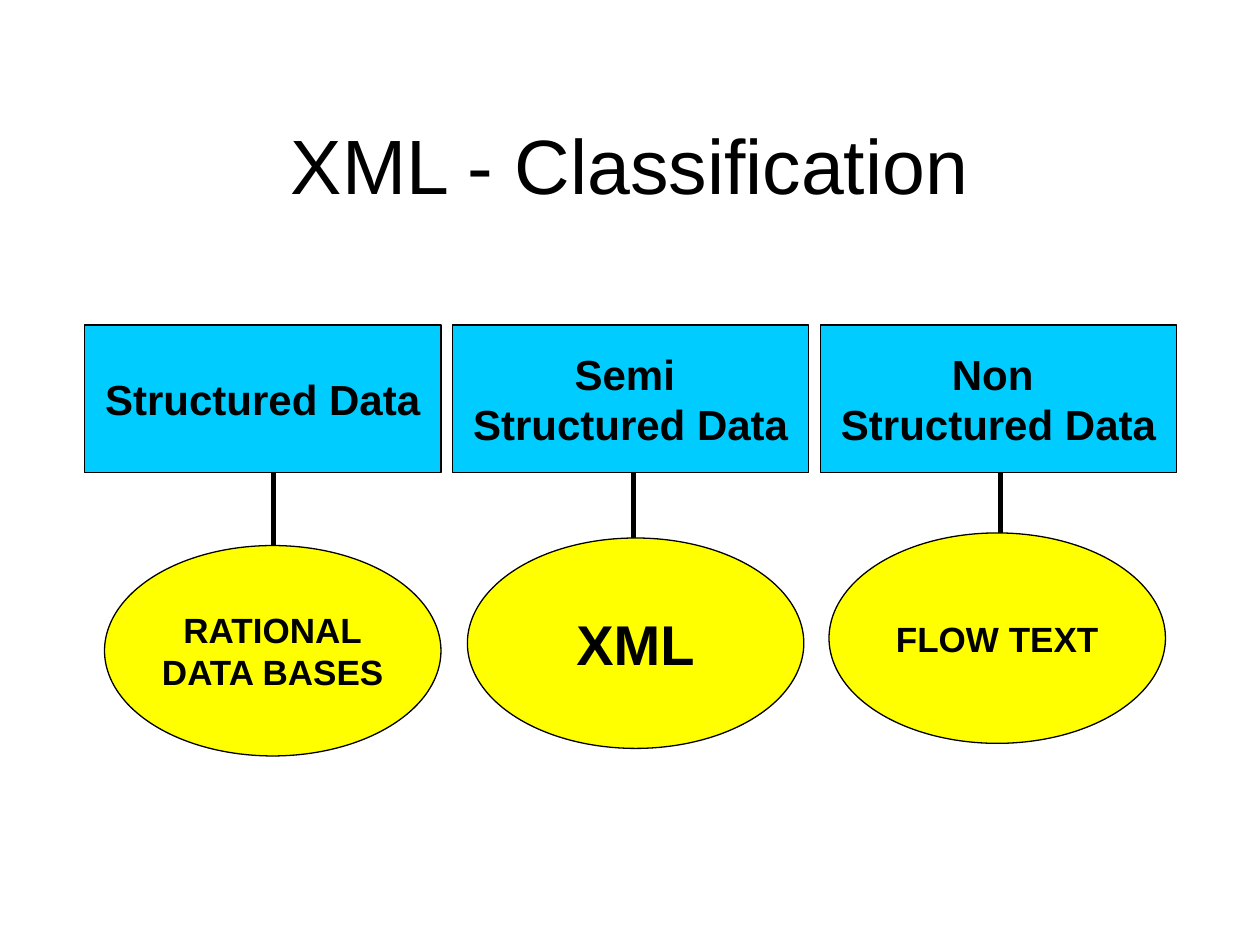
import pptx
import pptx.util
import pptx.dml.color
import pptx.enum.shapes
import pptx.enum.text
import pptx.oxml.ns
import lxml.etree

Inches = pptx.util.Inches
Pt = pptx.util.Pt
Shape = pptx.enum.shapes.MSO_SHAPE


def colour(hex_value):
    return pptx.dml.color.RGBColor.from_string(hex_value)


class ClassificationSlide:
    """Holds the style and the current slide."""

    font_name = "Arial"
    ink = "000000"
    outline = 0.75
    link_width = 3

    def __init__(self, deck):
        self.slide = deck.slides.add_slide(deck.slide_layouts[6])

    def label(self, box, lines, size, bold, wrap):
        frame = box.text_frame
        frame_format = {
            "word_wrap": wrap,
            "vertical_anchor": pptx.enum.text.MSO_ANCHOR.MIDDLE,
            "margin_left": Inches(0.1), "margin_right": Inches(0.1),
            "margin_top": Inches(0.05), "margin_bottom": Inches(0.05),
        }
        for name, value in frame_format.items():
            setattr(frame, name, value)
        font_format = {"name": self.font_name, "size": Pt(size), "bold": bold}
        for index, line in enumerate(lines):
            para = frame.add_paragraph() if index else frame.paragraphs[0]
            para.alignment = pptx.enum.text.PP_ALIGN.CENTER
            span = para.add_run()
            span.text = line
            for name, value in font_format.items():
                setattr(span.font, name, value)
            span.font.color.rgb = colour(self.ink)

    def title(self, place, words, size):
        box = self.slide.shapes.add_textbox(*map(Inches, place))
        self.label(box, [words], size, bold=False, wrap=True)

    def shape(self, preset, place, fill, lines, size):
        box = self.slide.shapes.add_shape(preset, *map(Inches, place))
        box.shadow.inherit = False
        box.fill.solid()
        box.fill.fore_color.rgb = colour(fill)
        box.line.color.rgb = colour(self.ink)
        box.line.width = Pt(self.outline)
        self.label(box, lines, size, bold=True, wrap=False)

    def link(self, x, top, bottom):
        line = self.slide.shapes.add_connector(
            pptx.enum.shapes.MSO_CONNECTOR.STRAIGHT,
            Inches(x), Inches(top), Inches(x), Inches(bottom))
        line.line.color.rgb = colour(self.ink)
        line.line.width = Pt(self.link_width)
        lxml.etree.SubElement(line._element.spPr, pptx.oxml.ns.qn("a:effectLst"))


def main():
    deck = pptx.Presentation()
    deck.slide_width, deck.slide_height = Inches(10), Inches(7.5)
    page = ClassificationSlide(deck)

    # Links, behind the shapes they join
    for x in (2.17, 5.03, 7.94):
        page.link(x, 3.75, 4.92)

    # Title
    page.title((0.75, 0.67, 8.5, 1.25), "XML - Classification", 44)

    # Kinds of data, evenly spaced
    kinds = [["Structured Data"], ["Semi ", "Structured Data"],
             ["Non ", "Structured Data"]]
    for column, lines in enumerate(kinds):
        left = 0.67 + column * 2.92
        page.shape(Shape.RECTANGLE, (left, 2.58, 2.83, 1.17), "00CCFF", lines, 24)

    # Example of each kind
    examples = [
        (0.83, 4.33, ["RATIONAL", "DATA BASES"], 20),
        (3.71, 4.27, ["XML"], 32),
        (6.58, 4.23, ["FLOW TEXT"], 20),
    ]
    for left, top, lines, size in examples:
        page.shape(Shape.OVAL, (left, top, 2.67, 1.67), "FFFF00", lines, size)

    deck.save("out.pptx")


if __name__ == "__main__":
    main()
